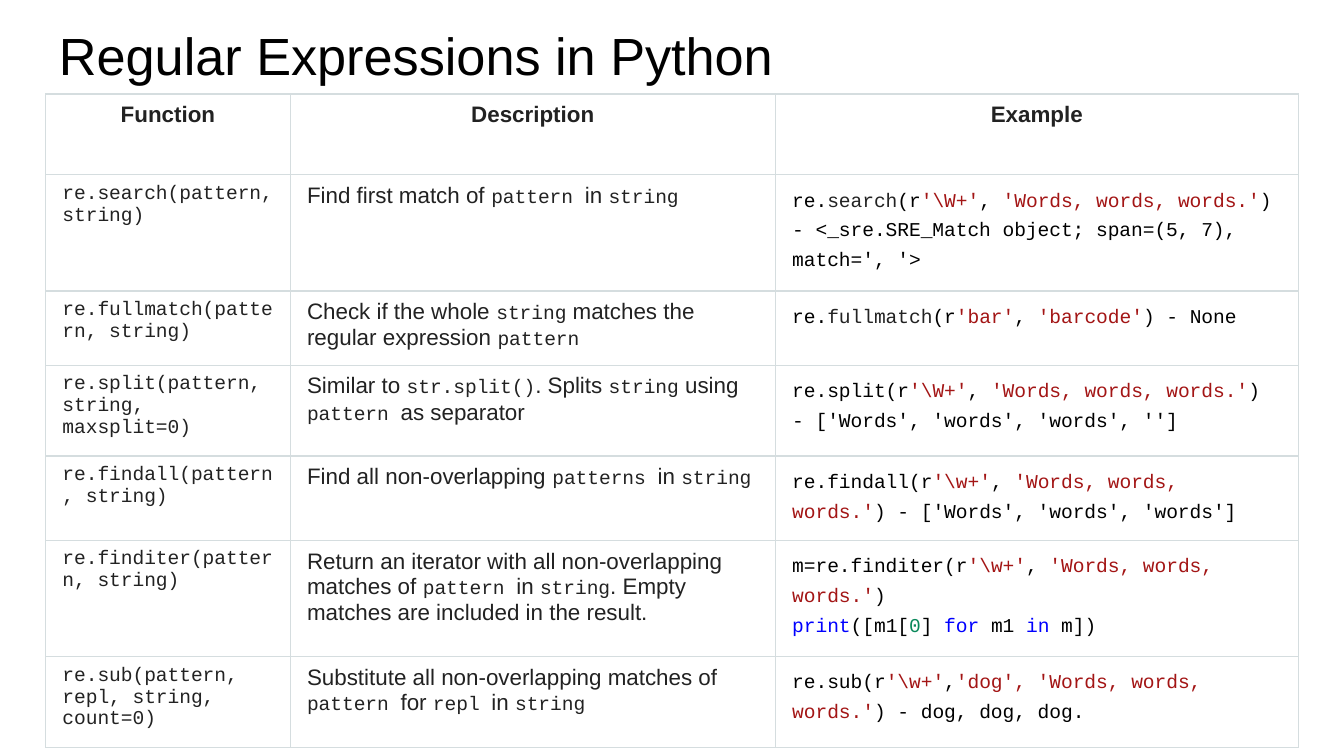
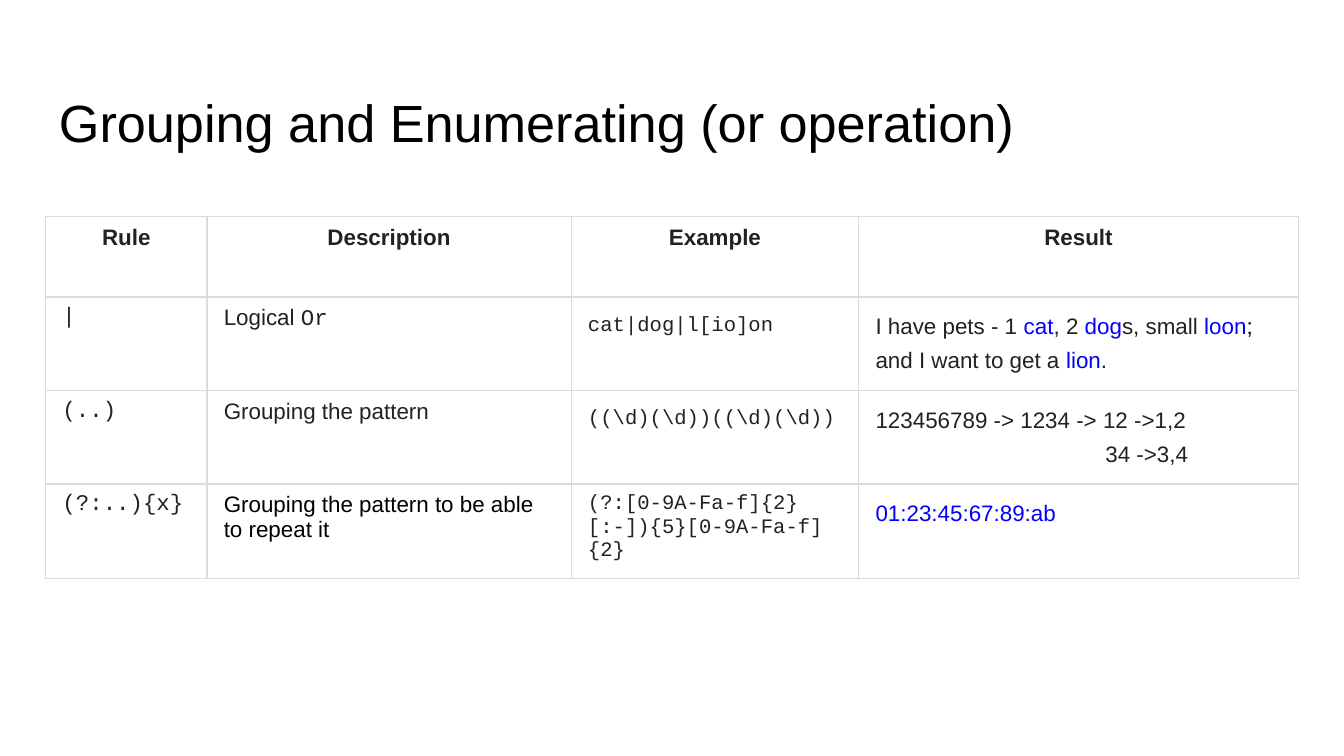
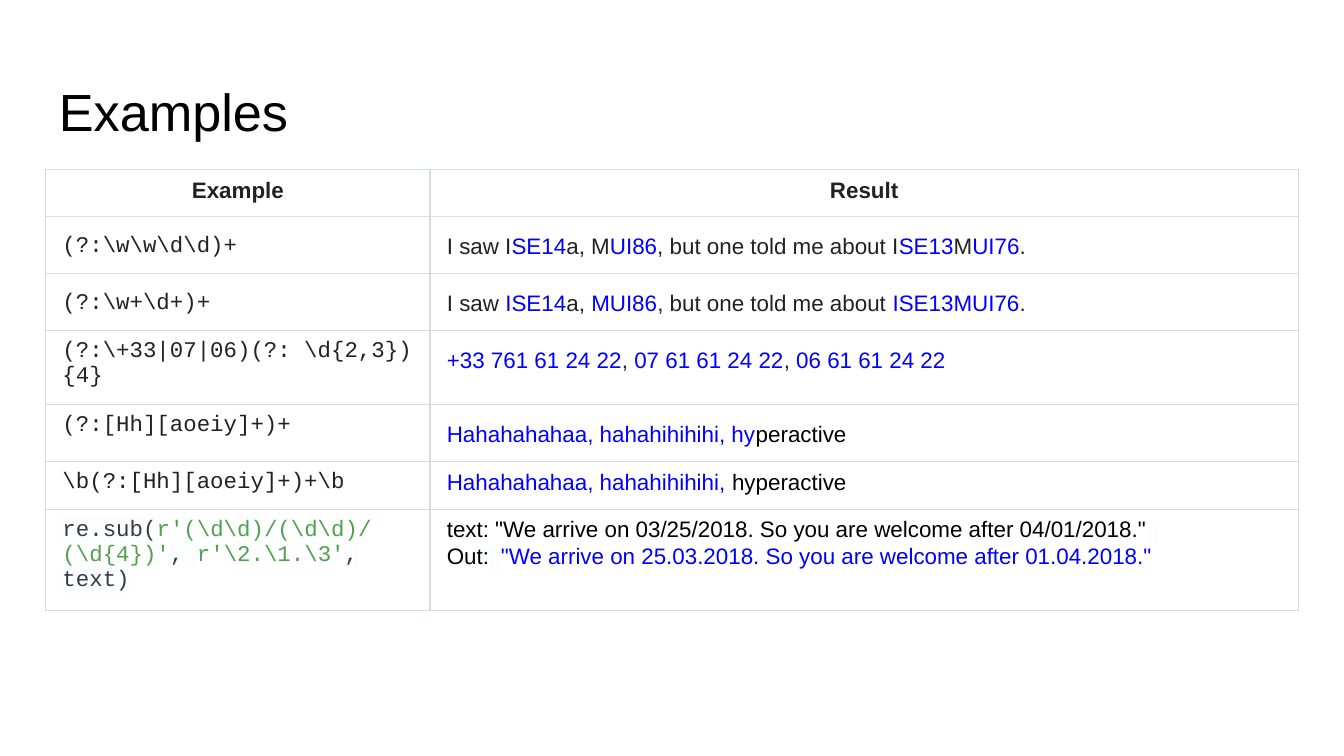
from lxml.etree import SubElement
from pptx import Presentation
from pptx.dml.color import RGBColor
from pptx.enum.text import PP_ALIGN as Align
from pptx.oxml import parse_xml
from pptx.oxml.ns import qn
from pptx.util import Inches, Pt

WIDE = 10
HIGH = WIDE * 9 / 16
LEFT, SIDE = 0.34, 3.28
RULE = "D5DDDF"
INK, BLACK, BLUE, RED = "222222", "000000", "0000FF", "A31515"
SANS, MONO = "Arial", "Courier New"
TINT = "FBFDFF"
NS = "http://schemas.openxmlformats.org/drawingml/2006/main"

STYLES = {
    "head": (SANS, 12, INK, None),
    "text": (SANS, 12, INK, None),
    "dark": (SANS, 12, BLACK, None),
    "hit": (SANS, 12, BLUE, None),
    "code": (MONO, 10.5, INK, None),
    "call": (MONO, 10.5, BLACK, None),
    "str": (MONO, 10.5, RED, None),
    "key": (MONO, 10.5, BLUE, None),
    "num": (MONO, 10.5, "09885A", None),
    "gap": (MONO, 10.5, "383A42", TINT),
    "rule": (MONO, 12, INK, None),
    "case": (MONO, 11, INK, None),
    "sub": (MONO, 12, "383A42", TINT),
    "raw": (MONO, 12, "50A14F", None),
}

SLIDES = [
    {
        "title": "Regular Expressions in Python", "top": 0.07, "table": 0.7,
        "cols": [1.82, 3.61, 3.89],
        "rows": [0.6, 0.79] + [0.42] * 5,
        "head": ["Function", "Description", "Example"],
        "body": [
            [r"code:re.search(pattern, string)",
             r"text:Find first match of ~code:pattern ~text:in ~code:string~text: ",
             r"^call:re.~code:search~call:(r~str:'\W+'~call:, ~str:'Words, words, words.'"
             r"~call:) - <_sre.SRE_Match object; span=(5, 7), match=', '>"],
            [r"code:re.fullmatch(pattern, string)",
             r"text:Check if the whole ~code:string~text: matches the regular expression ~code:pattern",
             r"^call:re.~code:fullmatch~call:(r~str:'bar'~call:, ~str:'barcode'~call:) - None"],
            [r"code:re.split(pattern, string, maxsplit=0)",
             r"text:Similar to ~code:str.split()~text:. Splits ~code:string~text: using "
             r"~code:pattern ~text:as separator",
             r"^call:re.split(r~str:'\W+'~call:, ~str:'Words, words, words.'"
             r"~call:) - ['Words', 'words', 'words', '']"],
            [r"code:re.findall(pattern, string)",
             r"text:Find all non-overlapping ~code:patterns ~text:in ~code:string",
             r"^call:re.findall(r~str:'\w+'~call:, ~str:'Words, words, words.'"
             r"~call:) - ['Words', 'words', 'words']"],
            [r"code:re.finditer(pattern, string)",
             r"text:Return an iterator with all non-overlapping matches of ~code:pattern "
             r"~text:in ~code:string~text:. Empty matches are included in the result.",
             r"^call:m=re.finditer(r~str:'\w+'~call:, ~str:'Words, words, words.'~call:)"
             r"¶key:print~call:([m1[~num:0~call:] ~key:for~call: m1 ~key:in~call: m])"],
            [r"code:re.sub(pattern, repl, string, count=0)",
             r"text:Substitute all non-overlapping matches of ~code:pattern ~text:for "
             r"~code:repl ~text:in ~code:string",
             r"^call:re.sub(r~str:'\w+'~call:,~str:'dog', 'Words, words, words.'"
             r"~call:) - dog, dog, dog."],
        ],
    },
    {
        "title": "Grouping and Enumerating (or operation)", "top": 0.57, "table": 1.61,
        "cols": [1.2, 2.71, 2.14, 3.27],
        "rows": [0.6, 0.61, 0.61, 0.42],
        "head": ["Rule", "Description", "Example", "Result"],
        "body": [
            [r"rule:|", r"text:Logical ~rule:Or", r"^case:cat|dog|l[io]on",
             r"^text:I have pets - 1 ~hit:cat~text:, 2 ~hit:dog~text:s, small ~hit:loon~dark:;"
             r"~hit: ~text:and I want to get a ~hit:lion~text:."],
            [r"rule:(..)", r"text:Grouping the pattern", r"^case:((\d)(\d))((\d)(\d))",
             r"^text:123456789 -> 1234 -> 12 ->1,2¶>text:34 ->3,4"],
            [r"rule:(?:..){x}", r"dark:Grouping the pattern to be able to repeat it",
             r"case:(?:[0-9A-Fa-f]{2}[:-]){5}[0-9A-Fa-f]{2}", r"^hit:01:23:45:67:89:ab"],
        ],
    },
    {
        "title": "Examples", "top": 0.49, "table": 1.26,
        "cols": [2.86, 6.46],
        "rows": [0.32] + [0.38] * 4 + [0.3, 0.5],
        "head": ["Example", "Result"],
        "body": [
            [r"^rule:(?:\w\w\d\d)+",
             r"^text:I saw I~hit:SE14~text:a, M~hit:UI86~text:, but one told me about I"
             r"~hit:SE13~text:M~hit:UI76~text:."],
            [r"^rule:(?:\w+\d+)+",
             r"^text:I saw ~hit:ISE14~text:a, ~hit:MUI86~text:, but one told me about "
             r"~hit:ISE13MUI76~text:."],
            [r"rule:(?:\+33|07|06)(?: \d{2,3}){4}",
             r"^hit:+33 761 61 24 22~text:, ~hit:07 61 61 24 22~text:, ~hit:06 61 61 24 22"],
            [r"rule:(?:[Hh][aoeiy]+)+",
             r"^hit:Hahahahahaa, hahahihihihi, hy~dark:peractive"],
            [r"rule:\b(?:[Hh][aoeiy]+)+\b",
             r"hit:Hahahahahaa, hahahihihihi, ~dark:hyperactive"],
            [r"sub:re.sub(~raw:r'(\d\d)/(\d\d)/(\d{4})'~sub:, ~raw:r'\2.\1.\3'~sub:, text)",
             r'dark:text: "We arrive on 03/25/2018. So you are welcome after 04/01/2018."'
             r'~gap: ↵dark:Out:~gap: '
             r'~hit:"We arrive on 25.03.2018. So you are welcome after 01.04.2018."'],
        ],
    },
]


def paint(run, face, size, tone, glow=None):
    font = run.font
    font.name, font.size = face, Pt(size)
    font.color.rgb = RGBColor.from_string(tone)
    if glow:
        fill = font.fill._xPr.find(qn("a:solidFill"))
        fill.addnext(parse_xml(
            f'<a:highlight xmlns:a="{NS}"><a:srgbClr val="{glow}"/></a:highlight>'))


def frame(cell):
    cell.fill.background()
    props = cell._tc.get_or_add_tcPr()
    for spot, side in enumerate(("lnL", "lnR", "lnT", "lnB")):
        line = SubElement(props, qn("a:" + side), w=str(Pt(0.75)))
        fill = SubElement(line, qn("a:solidFill"))
        SubElement(fill, qn("a:srgbClr"), val=RULE)
        props.insert(spot, line)


def close(para, face, size):
    end = SubElement(para._p, qn("a:endParaRPr"), sz=str(int(size * 100)))
    SubElement(end, qn("a:latin"), typeface=face)


def write(cell, mark):
    cell.margin_left = cell.margin_right = Inches(1 / 8)
    cell.margin_top, cell.margin_bottom = Inches(1 / 16), Inches(0.09)
    frame(cell)
    body = cell.text_frame
    for i, part in enumerate(mark.lstrip("^").split("¶")):
        para = body.add_paragraph() if i else body.paragraphs[0]
        if mark.startswith("^"):
            para.line_spacing = 1.36
        if part.startswith(">"):
            para._p.get_or_add_pPr().set("marL", str(Inches(1.71)))
        for j, line in enumerate(part.lstrip(">").split("↵")):
            if j:
                para.add_line_break()
            for piece in line.split("~"):
                style, text = piece.split(":", 1)
                run = para.add_run()
                run.text = text
                paint(run, *STYLES[style])
                if style == "head":
                    run.font.bold = True
                    para.alignment = Align.CENTER
        close(para, *STYLES[style][:2])


def add_title(slide, text, top):
    box = slide.shapes.add_textbox(
        Inches(LEFT), Inches(top), Inches(WIDE - 2 * LEFT), Inches(0.63))
    body = box.text_frame
    body.word_wrap = True
    body.margin_left = body.margin_right = Inches(0.1)
    body.margin_top = body.margin_bottom = Inches(0.1)
    body.text = text
    paint(body.paragraphs[0].runs[0], SANS, 28, BLACK)


def add_grid(slide, data):
    cols, rows = data["cols"], data["rows"]
    holder = slide.shapes.add_table(
        len(rows), len(cols), Inches(LEFT), Inches(data["table"]),
        Inches(SIDE), Inches(SIDE))
    table = holder.table
    table.first_row = table.horz_banding = False
    for col, size in zip(table.columns, cols):
        col.width = Inches(size)
    for row, size in zip(table.rows, rows):
        row.height = Inches(size)
    holder.width = holder.height = Inches(SIDE)
    marks = [["head:" + name for name in data["head"]]] + data["body"]
    for r, line in enumerate(marks):
        for c, mark in enumerate(line):
            write(table.cell(r, c), mark)


def main():
    deck = Presentation()
    deck.slide_width, deck.slide_height = Inches(WIDE), Inches(HIGH)
    for data in SLIDES:
        slide = deck.slides.add_slide(deck.slide_layouts[6])
        add_title(slide, data["title"], data["top"])
        add_grid(slide, data)
    deck.save("out.pptx")


if __name__ == "__main__":
    main()
